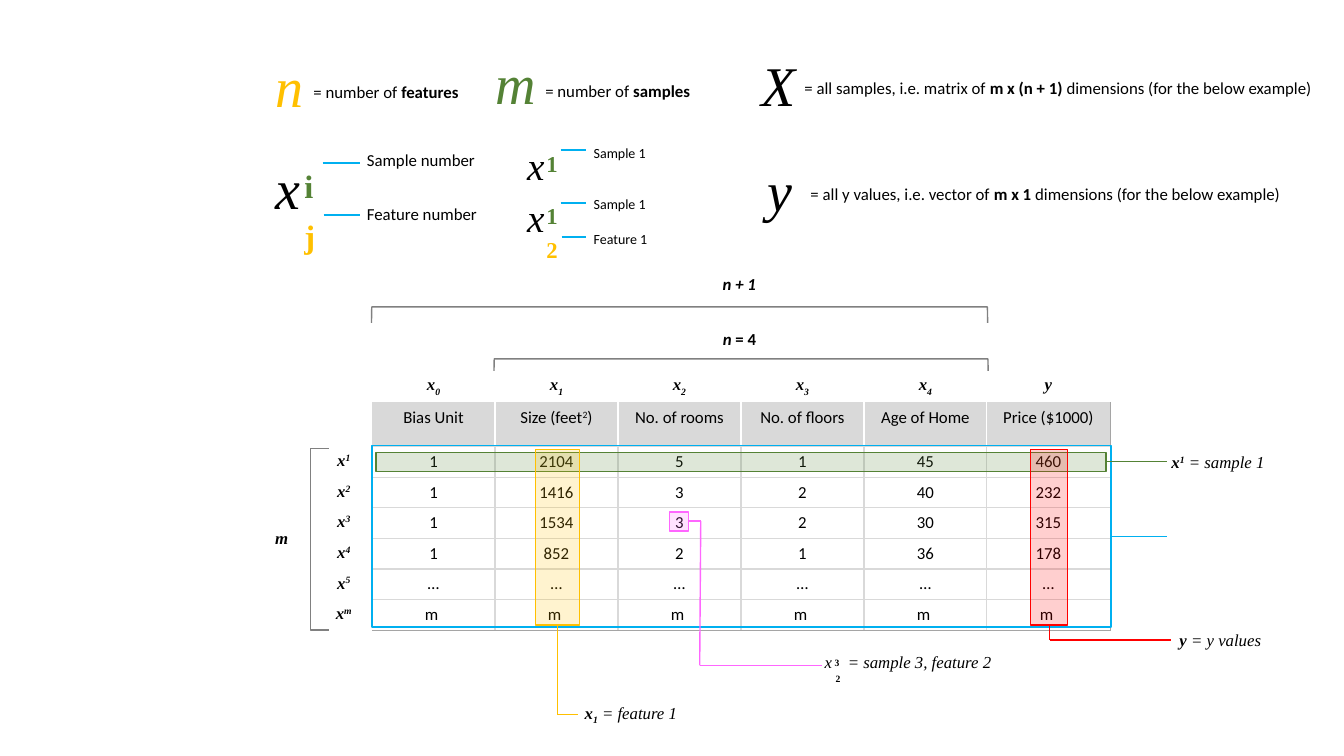
import lxml.etree
import pptx
import pptx.dml.color
import pptx.enum.shapes
import pptx.enum.text
import pptx.oxml.ns
import pptx.util

PX = 9144
BLACK, GREEN, YELLOW, BLUE = "000000", "548235", "FFC000", "00B0F0"
RED, PINK, GRAY, SILVER, STEEL = "FF0000", "FF66FF", "808080", "D9D9D9", "A5A5A5"
SANS, SERIF = "Calibri", "Times New Roman"
SUP, SUB = 30000, -25000
SHAPE = pptx.enum.shapes.MSO_SHAPE
qn = pptx.oxml.ns.qn


def rgb(value):
    return pptx.dml.color.RGBColor.from_string(value)


def run(text, size=12, font=SANS, color=BLACK, bold=False, italic=False, base=0):
    return text, size, font, color, bold, italic, base


def math(text, **fmt):
    return run(text, **{"font": SERIF, "italic": True, **fmt})


def term(letter, index, base):
    return [math(letter, bold=True), math(index, bold=True, base=base)]


class Sheet:
    """Draws styled elements on one slide, with lengths in px of 1/100 inch."""

    def __init__(self, prs):
        self.s = prs.slides.add_slide(prs.slide_layouts[6])

    def fill_paragraph(self, p, runs):
        for text, size, font, color, bold, italic, base in runs:
            r = p.add_run()
            r.text = text
            r.font.size = pptx.util.Pt(size)
            r.font.name = font
            r.font.color.rgb = rgb(color)
            r.font.bold, r.font.italic = bold, italic
            if base:
                r._r.get_or_add_rPr().set("baseline", str(base))

    def text(self, x, y, w, h, *runs):
        sp = self.s.shapes.add_textbox(x * PX, y * PX, w * PX, h * PX)
        tf = sp.text_frame
        tf.word_wrap = True
        tf.auto_size = pptx.enum.text.MSO_AUTO_SIZE.SHAPE_TO_FIT_TEXT
        self.fill_paragraph(tf.paragraphs[0], runs)

    def shape(self, kind, x, y, w, h, color, alpha=0):
        sp = self.s.shapes.add_shape(kind, x * PX, y * PX, w * PX, h * PX)
        sp.shadow.inherit = False
        sp.line.color.rgb = rgb(color)
        sp.line.width = pptx.util.Pt(1)
        if alpha:
            sp.fill.solid()
            sp.fill.fore_color.rgb = rgb(color)
            clr = sp._element.spPr.find(qn("a:solidFill"))[0]
            lxml.etree.SubElement(clr, qn("a:alpha"), val=str(alpha * 1000))
        else:
            sp.fill.background()
        return sp

    def bracket(self, x, y, w, h, rotation=0, bend=0):
        sp = self.shape(SHAPE.LEFT_BRACKET, x, y, w, h, GRAY)
        sp.rotation = rotation
        sp.adjustments[0] = bend

    def line(self, x1, y1, x2, y2, color, width=1):
        sp = self.s.shapes.add_connector(
            pptx.enum.shapes.MSO_CONNECTOR.STRAIGHT, x1 * PX, y1 * PX, x2 * PX, y2 * PX)
        sp.line.color.rgb = rgb(color)
        sp.line.width = pptx.util.Pt(width)
        lxml.etree.SubElement(sp._element.spPr, qn("a:effectLst"))

    def borders(self, cell, sides):
        tc_pr = cell._tc.get_or_add_tcPr()
        for k, side in enumerate("LRTB"):
            color, width = sides.get(side, (None, 1))
            ln = lxml.etree.Element(qn("a:ln" + side), w=str(pptx.util.Pt(width)))
            if color:
                fill = lxml.etree.SubElement(ln, qn("a:solidFill"))
                lxml.etree.SubElement(fill, qn("a:srgbClr"), val=color)
            else:
                lxml.etree.SubElement(ln, qn("a:noFill"))
            tc_pr.insert(k, ln)

    def cell(self, cell, runs, fill, sides):
        p = cell.text_frame.paragraphs[0]
        p.alignment = pptx.enum.text.PP_ALIGN.CENTER
        self.fill_paragraph(p, runs)
        if not runs:
            lxml.etree.SubElement(p._p, qn("a:endParaRPr"), sz="1200")
        if fill:
            cell.fill.solid()
            cell.fill.fore_color.rgb = rgb(fill)
        else:
            cell.fill.background()
        self.borders(cell, sides)

    def table(self, x, y, widths, heights, rows):
        tbl = self.s.shapes.add_table(len(rows), len(widths), x * PX, y * PX,
                                      sum(widths) * PX, sum(heights) * PX).table
        tbl.first_row = tbl.horz_banding = False
        for column, w in zip(tbl.columns, widths):
            column.width = w * PX
        for row, h in zip(tbl.rows, heights):
            row.height = h * PX
        last_row, last_col = len(rows) - 1, len(widths) - 1
        for i, row in enumerate(rows):
            for j, runs in enumerate(row):
                sides, fill = {}, None
                if i and j:
                    inner = "FFFFFF" if i == 1 else SILVER
                    sides = {"R": (STEEL, 0.5) if j == last_col else (inner, 1),
                             "B": (STEEL, 0.5) if i == last_row else (SILVER, 1)}
                    if j > 1:
                        sides["L"] = (inner, 1)
                    if i > 1:
                        sides["T"] = (SILVER, 1)
                    else:
                        fill = SILVER
                self.cell(tbl.cell(i, j), runs, fill, sides)


def draw_samples(sheet):
    headings = ["Bias Unit", None, "No. of rooms", "No. of floors", "Age of Home", "Price ($1000)"]
    samples = [
        ("1", "1", "2104", "5", "1", "45", "460"),
        ("2", "1", "1416", "3", "2", "40", "232"),
        ("3", "1", "1534", "3", "2", "30", "315"),
        ("4", "1", "852", "2", "1", "36", "178"),
        ("5", *["…"] * 6),
        ("m", *["m "] * 6),
    ]
    size = [run("Size (feet"), run("2", base=SUP), run(")")]
    rows = [
        [[], *[term("x", str(k), SUB) for k in range(5)], [math("y", bold=True)]],
        [[], *[[run(h)] if h else size for h in headings]],
    ]
    for index, *values in samples:
        rows.append([term("x", index, SUP), *[[run(v)] for v in values]])
    sheet.table(313, 368, [56] + [122] * 6, [29, 44] + [29] * 6, rows)


def draw_marks(sheet):
    for x, y, w, h, color, alpha in [
        (373, 449, 724, 19, GREEN, 19), (531, 446, 44, 174, YELLOW, 19),
        (664, 508, 19, 19, PINK, 19), (369, 442, 733, 180, BLUE, 0),
        (1022, 446, 37, 174, RED, 19),
    ]:
        sheet.shape(SHAPE.RECTANGLE, x, y, w, h, color, alpha)
    for color, *points in [
        (BLUE, (1102, 532), (1157, 532)),
        (GREEN, (1097, 458), (1157, 458)),
        (RED, (1161, 635), (1041, 635), (1041, 619)),
        (PINK, (815, 660), (694, 660), (695, 517), (683, 517)),
        (YELLOW, (573, 709), (553, 709), (553, 619)),
    ]:
        for start, end in zip(points, points[1:]):
            sheet.line(*start, *end, color)
    sheet.bracket(308, 445, 18, 180)
    sheet.bracket(666, 7, 16, 611, 90, 0.02)
    sheet.bracket(729, 117, 12, 490, 90, 0.02)


def draw_captions(sheet):
    sheet.text(707, 267, 56, 30, run("n + 1", bold=True, italic=True))
    sheet.text(707, 321, 168, 30, run("n", bold=True, italic=True), run(" = 4", bold=True))
    sheet.text(263, 519, 35, 50, math("m", bold=True))
    sheet.text(1152, 443, 156, 50, *term("x", "1", SUP), math("  = sample 1".replace("  ", " ")))
    sheet.text(570, 692, 156, 50, *term("x", "1", SUB), math(" = feature 1"))
    sheet.text(1160, 620, 156, 50, math("y", bold=True), math(" = y values"))
    sheet.text(831, 642, 178, 50, math("= sample 3, feature 2"))
    sheet.text(808, 642, 26, 26, math("x"))
    sheet.text(818, 645, 26, 20, run("3", font=SERIF, bold=True, base=SUP))
    sheet.text(819, 651, 26, 20, run("2", font=SERIF, bold=True, base=SUB))


def draw_notation(sheet):
    for letter, x, y, color in [("n", 263, 46, YELLOW), ("m", 482, 43, GREEN), ("X", 745, 45, BLACK),
                                ("x", 263, 147, BLACK), ("y", 751, 149, BLACK)]:
        sheet.text(x, y, 62, 77, math(letter, size=40, color=color))
    for x, y, w, lead, strong, tail in [
        (301, 76, 168, "= number of ", "features", ""),
        (531, 75, 168, "= number of ", "samples", ""),
        (788, 72, 540, "= all samples, i.e. matrix of ", "m x (n + 1) ", "dimensions (for the below example)"),
        (794, 177, 535, "= all y values, i.e. vector of ", "m x 1 ", "dimensions (for the below example)"),
    ]:
        runs = [run(lead), run(strong, bold=True)]
        sheet.text(x, y, w, 30, *runs, *([run(tail)] if tail else []))
    for text, x, y, size, color, base in [
        ("i", 292, 153, 40, GREEN, SUP), ("j", 292, 172, 40, YELLOW, SUB),
        ("1", 532, 139, 28, GREEN, SUP), ("1", 532, 191, 28, GREEN, SUP),
        ("2", 532, 203, 28, YELLOW, SUB),
    ]:
        sheet.text(x, y, 41, 42, run(text, size=size, font=SERIF, color=color, bold=True, base=base))
    for y in (135, 187):
        sheet.text(513, y, 41, 57, math("x", size=28))
    for text, x, y, size, start, end, level in [
        ("Sample number", 354, 144, 12, 320, 357, 162),
        ("Feature number", 354, 197, 12, 321, 357, 213),
        ("Sample 1", 579, 138, 10, 556, 581, 149),
        ("Sample 1", 579, 189, 10, 556, 581, 201),
        ("Feature 1", 579, 224, 10, 557, 581, 235),
    ]:
        sheet.text(x, y, 139, 30, run(text, size=size))
        sheet.line(start, level, end, level, BLUE, 1.5)


def main():
    prs = pptx.Presentation()
    prs.slide_width, prs.slide_height = 1333 * PX, 750 * PX
    sheet = Sheet(prs)
    draw_samples(sheet)
    draw_marks(sheet)
    draw_captions(sheet)
    draw_notation(sheet)
    prs.save("out.pptx")


if __name__ == "__main__":
    main()
